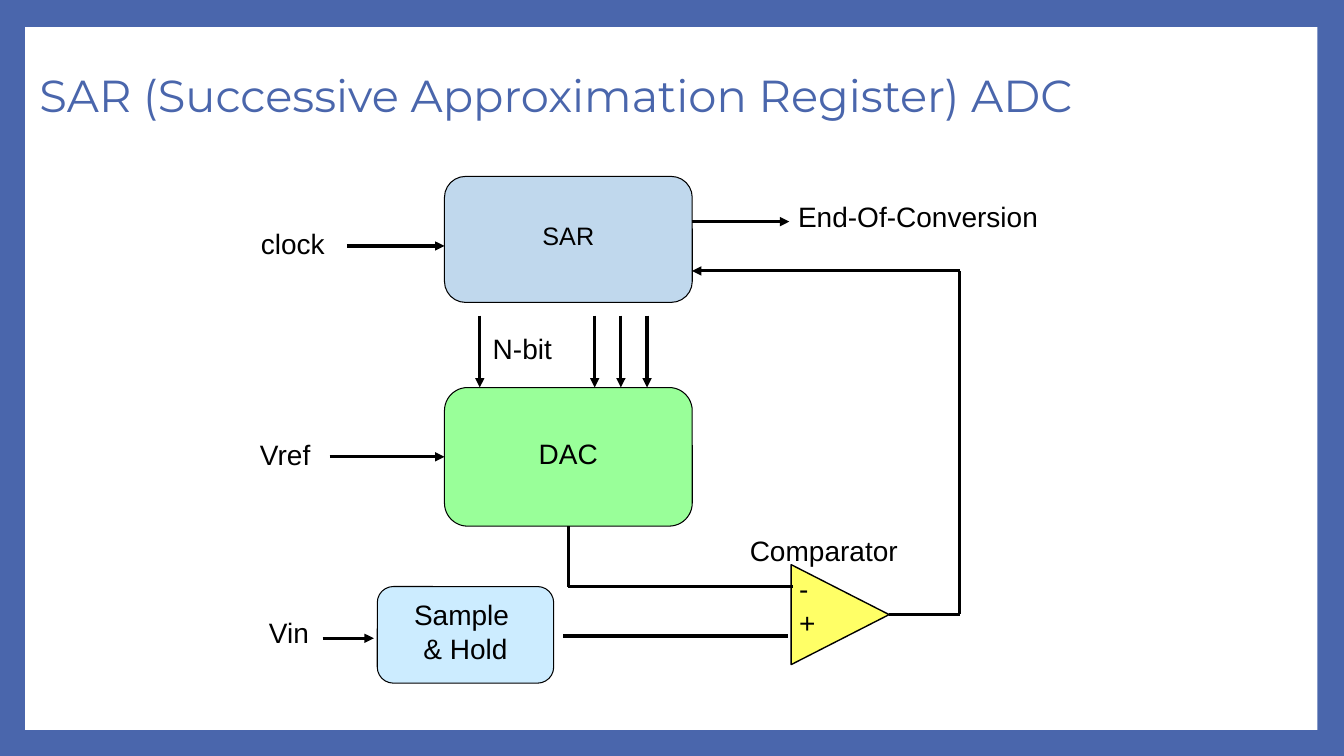
from lxml.etree import SubElement
from pptx import Presentation
from pptx.dml.color import RGBColor
from pptx.enum.shapes import MSO_CONNECTOR, MSO_SHAPE
from pptx.enum.text import MSO_ANCHOR, MSO_AUTO_SIZE, PP_ALIGN
from pptx.oxml.ns import qn
from pptx.util import Pt

BLUE = RGBColor(0x4A, 0x66, 0xAC)
WHITE = RGBColor(0xFF, 0xFF, 0xFF)
BLACK = RGBColor(0, 0, 0)
STEEL = RGBColor(0xC0, 0xD8, 0xED)
GREEN = RGBColor(0x99, 0xFF, 0x99)
YELLOW = RGBColor(0xFF, 0xFF, 0x66)
SKY = RGBColor(0xCC, 0xEC, 0xFF)

TOP, LEFT, BOTTOM = 0, 1, 2
BLOCK = {"word_wrap": True, "vertical_anchor": MSO_ANCHOR.MIDDLE,
         "margin_top": Pt(3.6), "margin_bottom": Pt(9)}
LABEL = {"word_wrap": False, "vertical_anchor": MSO_ANCHOR.TOP}
TITLE = {"word_wrap": True, "vertical_anchor": MSO_ANCHOR.MIDDLE,
         "auto_size": MSO_AUTO_SIZE.NONE}


def apply(target, values):
    for name, value in values.items():
        setattr(target, name, value)


def write(frame, text, style, size=20, align=PP_ALIGN.LEFT, face="Arial", color=BLACK):
    frame.text = text
    apply(frame, style)
    for line in frame.paragraphs:
        line.alignment = align
        apply(line.font, {"name": face, "size": Pt(size)})
        line.font.color.rgb = color


def add_form(slide, kind, box, fill, width=0.75):
    form = slide.shapes.add_shape(kind, *map(Pt, box))
    form.shadow.inherit = False
    form.fill.solid()
    form.fill.fore_color.rgb = fill
    if width:
        form.line.color.rgb = BLACK
        form.line.width = Pt(width)
    else:
        form.line.fill.background()
    return form


def add_block(slide, text, box, fill, size=20):
    block = add_form(slide, MSO_SHAPE.ROUNDED_RECTANGLE, box, fill)
    write(block.text_frame, text, BLOCK, size, PP_ALIGN.CENTER)
    return block


def add_label(slide, text, *box):
    label = slide.shapes.add_textbox(*map(Pt, box))
    write(label.text_frame, text, LABEL)


def add_wire(slide, start, end, arrow=False):
    wire = slide.shapes.add_connector(MSO_CONNECTOR.STRAIGHT, *map(Pt, start + end))
    wire.line.color.rgb = BLACK
    wire.line.width = Pt(2.25)
    if arrow:
        SubElement(wire.get_or_add_ln(), qn("a:tailEnd")).set("type", "triangle")
    SubElement(wire._element.spPr, qn("a:effectLst"))
    return wire


def add_title(slide, text):
    title = slide.shapes.title
    apply(title, {"left": Pt(20.9), "top": Pt(25.2), "width": Pt(862), "height": Pt(90)})
    write(title.text_frame, text, TITLE, 32, face="Montserrat", color=BLUE)
    title.text_frame.paragraphs[0].line_spacing = 0.9


def add_panel(slide):
    slide.background.fill.solid()
    slide.background.fill.fore_color.rgb = BLUE
    panel = add_form(slide, MSO_SHAPE.RECTANGLE, (18, 19.4, 923, 502), WHITE, 0)
    slide.shapes.title._element.addprevious(panel._element)


def main():
    deck = Presentation()
    deck.slide_width, deck.slide_height = Pt(960), Pt(540)
    slide = deck.slides.add_slide(deck.slide_layouts[5])
    add_panel(slide)
    add_title(slide, "SAR (Successive Approximation Register) ADC")

    add_block(slide, "SAR", (317.5, 126, 177, 90), STEEL, 18)
    dac = add_block(slide, "DAC", (317.5, 276.8, 177, 99), GREEN)
    add_block(slide, "Sample \n& Hold", (269.5, 419, 126, 69), SKY)
    gate = add_form(slide, MSO_SHAPE.ISOSCELES_TRIANGLE, (564.4, 404, 71.4, 70), YELLOW, 1)
    gate.rotation = 90

    add_wire(slide, (247.7, 175.7), (317.5, 175.7), True)
    add_wire(slide, (494.3, 158.3), (563.8, 158.3), True)
    add_wire(slide, (230.4, 455.9), (267, 455.9), True)
    for x in (342.7, 424.8, 443.5, 462.2):
        add_wire(slide, (x, 225.4), (x, 276.8), True)
    add_wire(slide, (235.4, 326.3), (317.5, 326.3), True).end_connect(dac, LEFT)

    add_wire(slide, (406, 375.8), (406, 419)).begin_connect(dac, BOTTOM)
    add_wire(slide, (406, 419), (566.6, 419))
    add_wire(slide, (402.5, 454.3), (563, 454.3))
    add_wire(slide, (635, 438.8), (685.5, 438.8))
    add_wire(slide, (685.5, 193.5), (685.5, 438.8))
    add_wire(slide, (685.5, 193.5), (494.3, 193.5), True)

    add_label(slide, "clock", 179.3, 158.4, 67.7, 35.3)
    add_label(slide, "Vref", 178.6, 308.9, 56.9, 35.3)
    add_label(slide, "Vin", 185, 436.3, 48.2, 35.3)
    add_label(slide, "N-bit", 344.9, 233.3, 64, 35.3)
    add_label(slide, "End-Of-Conversion", 563, 139, 208.8, 35.3)
    add_label(slide, "Comparator", 528.5, 377.3, 134.6, 35.3)
    add_label(slide, "-\n+", 563.8, 404.6, 29.5, 62)
    deck.save("out.pptx")


if __name__ == "__main__":
    main()
